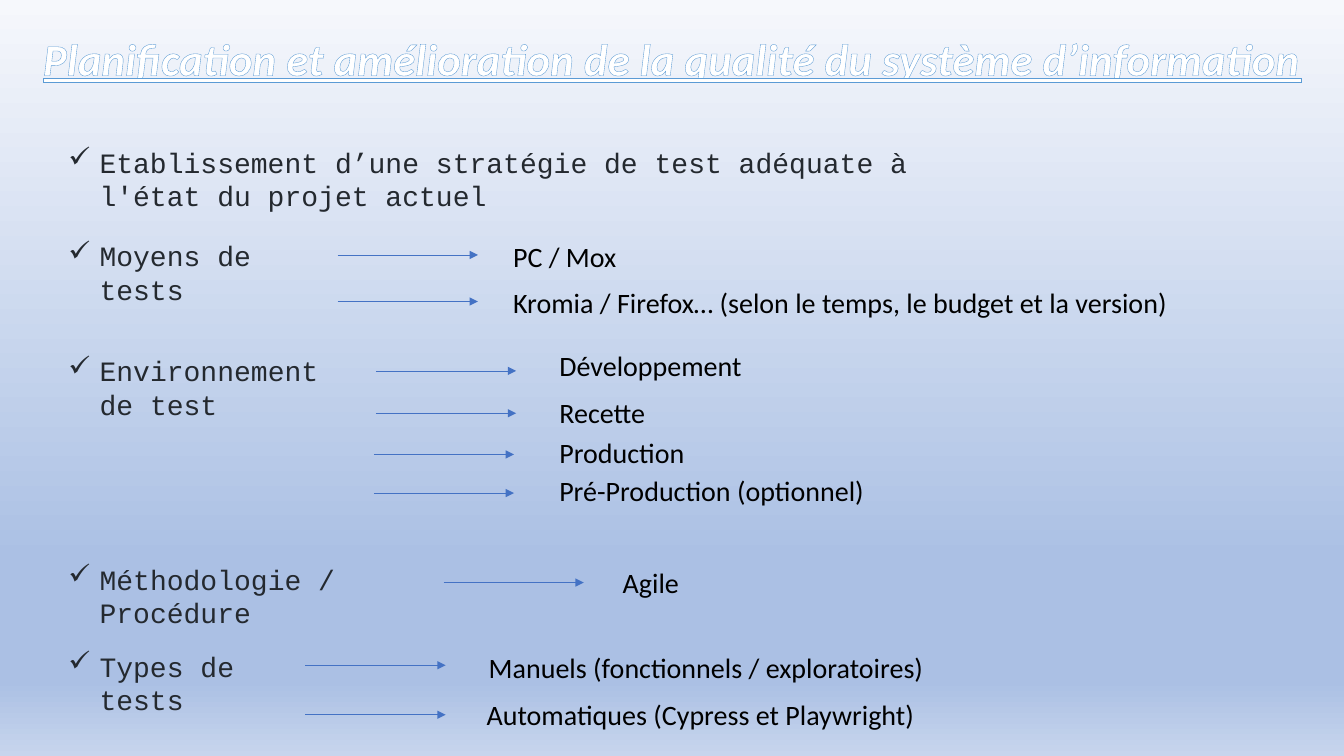
from lxml import etree
from pptx import Presentation
from pptx import util as u
from pptx.dml.color import RGBColor
from pptx.enum import dml, shapes, text
from pptx.oxml import ns

WIDTH, HEIGHT = u.Inches(13.33), u.Inches(7.5)
COLUMN, ROW = WIDTH / 32, HEIGHT / 18
LINE_ROWS = 1.06
BULLET_LEFT = 1.39
ARROW_COLUMNS = 3.34
INDENT = u.Inches(0.31)

COLORS = {
    "title": "FFFFFF",
    "outline": "5B9BD5",
    "topic": "24292F",
    "answer": "000000",
    "arrow": "4472C4",
}
BACKGROUND = [(0, "F6F8FC"), (74, "ABC0E4"), (90, "ABC0E4"), (100, "C7D5ED")]
FORMATS = {
    "title": {"name": "Calibri", "size": u.Pt(32), "bold": True,
              "italic": True, "underline": True},
    "topic": {"name": "Courier New", "size": u.Pt(20)},
    "answer": {"name": "Calibri", "size": u.Pt(20)},
}

TITLE = "Planification et amélioration de la qualité du système d’information"
TOPICS = [
    ("Etablissement d’une stratégie de test adéquate à l'état du projet actuel",
     3.34, 21.14),
    ("Moyens de tests", 5.57, 5.71),
    ("Environnement de test", 8.3, 7.49),
    ("Méthodologie / Procédure", 13.27, 8.76),
    ("Types de tests", 15.34, 5.09),
]
ANSWERS = [
    ("PC / Mox", 11.98, 5.59, 2.95, 8.04, 6.07),
    ("Kromia / Firefox… (selon le temps, le budget et la version)",
     11.98, 6.67, 16.46, 8.04, 7.18),
    ("Développement", 13.08, 8.18, 4.87, 8.95, 8.83),
    ("Recette", 13.08, 9.31, 2.57, 8.95, 9.84),
    ("Production", 13.08, 10.25, 3.5, 8.9, 10.82),
    ("Pré-Production (optionnel)", 13.08, 11.16, 7.82, 8.9, 11.74),
    ("Agile", 14.59, 13.34, 1.85, 10.56, 13.87),
    ("Manuels (fonctionnels / exploratoires)", 11.4, 15.36, 10.94, 7.27, 15.84),
    ("Automatiques (Cypress et Playwright)", 11.35, 16.49, 10.78, 7.27, 17.02),
]


def across(columns):
    return round(columns * COLUMN)


def down(rows):
    return round(rows * ROW)


def add_node(parent, tag, **attributes):
    return etree.SubElement(parent, ns.qn(tag), **attributes)


def paint_background(slide):
    fill = slide.background.fill
    fill.gradient()
    fill.gradient_angle = 270
    stops = next(slide.element.iter(ns.qn("a:gsLst")))
    for stop in list(stops):
        stops.remove(stop)
    for percent, color in BACKGROUND:
        stop = add_node(stops, "a:gs", pos=str(percent * 1000))
        add_node(stop, "a:srgbClr", val=color)


def add_text(slide, words, role, left, top, columns, rows=LINE_ROWS, wrap=True):
    box = slide.shapes.add_textbox(across(left), down(top),
                                   across(columns), down(rows))
    frame = box.text_frame
    frame.word_wrap = wrap
    frame.auto_size = text.MSO_AUTO_SIZE.SHAPE_TO_FIT_TEXT
    para = frame.paragraphs[0]
    span = para.add_run()
    span.text = words
    for name, value in FORMATS[role].items():
        setattr(span.font, name, value)
    span.font.color.rgb = RGBColor.from_string(COLORS[role])
    return para


def add_title(slide):
    para = add_text(slide, TITLE, "title", 0, 0.62, 32, 1.54)
    para.alignment = text.PP_ALIGN.CENTER
    properties = para.runs[0].font._element
    outline = etree.Element(ns.qn("a:ln"), w=str(u.Pt(0.8)))
    fill = add_node(outline, "a:solidFill")
    add_node(fill, "a:srgbClr", val=COLORS["outline"])
    properties.insert(0, outline)


def add_topic(slide, words, top, columns):
    para = add_text(slide, words, "topic", BULLET_LEFT, top, columns)
    properties = para._p.get_or_add_pPr()
    properties.set("marL", str(INDENT))
    properties.set("indent", str(-INDENT))
    add_node(properties, "a:buChar", char="✓")


def add_arrow(slide, left, level):
    arrow = slide.shapes.add_connector(
        shapes.MSO_CONNECTOR.STRAIGHT, across(left), down(level),
        across(left + ARROW_COLUMNS), down(level))
    arrow.line.color.rgb = RGBColor.from_string(COLORS["arrow"])
    arrow.line.width = u.Pt(0.5)
    arrow.line.dash_style = dml.MSO_LINE.SOLID
    add_node(arrow.line._get_or_add_ln(), "a:tailEnd", type="triangle")
    add_node(arrow.element.spPr, "a:effectLst")


def main():
    deck = Presentation()
    deck.slide_width, deck.slide_height = WIDTH, HEIGHT
    slide = deck.slides.add_slide(deck.slide_layouts[6])
    paint_background(slide)
    add_title(slide)
    for topic in TOPICS:
        add_topic(slide, *topic)
    for words, left, top, columns, arrow_left, level in ANSWERS:
        add_arrow(slide, arrow_left, level)
        add_text(slide, words, "answer", left, top, columns, wrap=False)
    deck.save("out.pptx")


if __name__ == "__main__":
    main()
